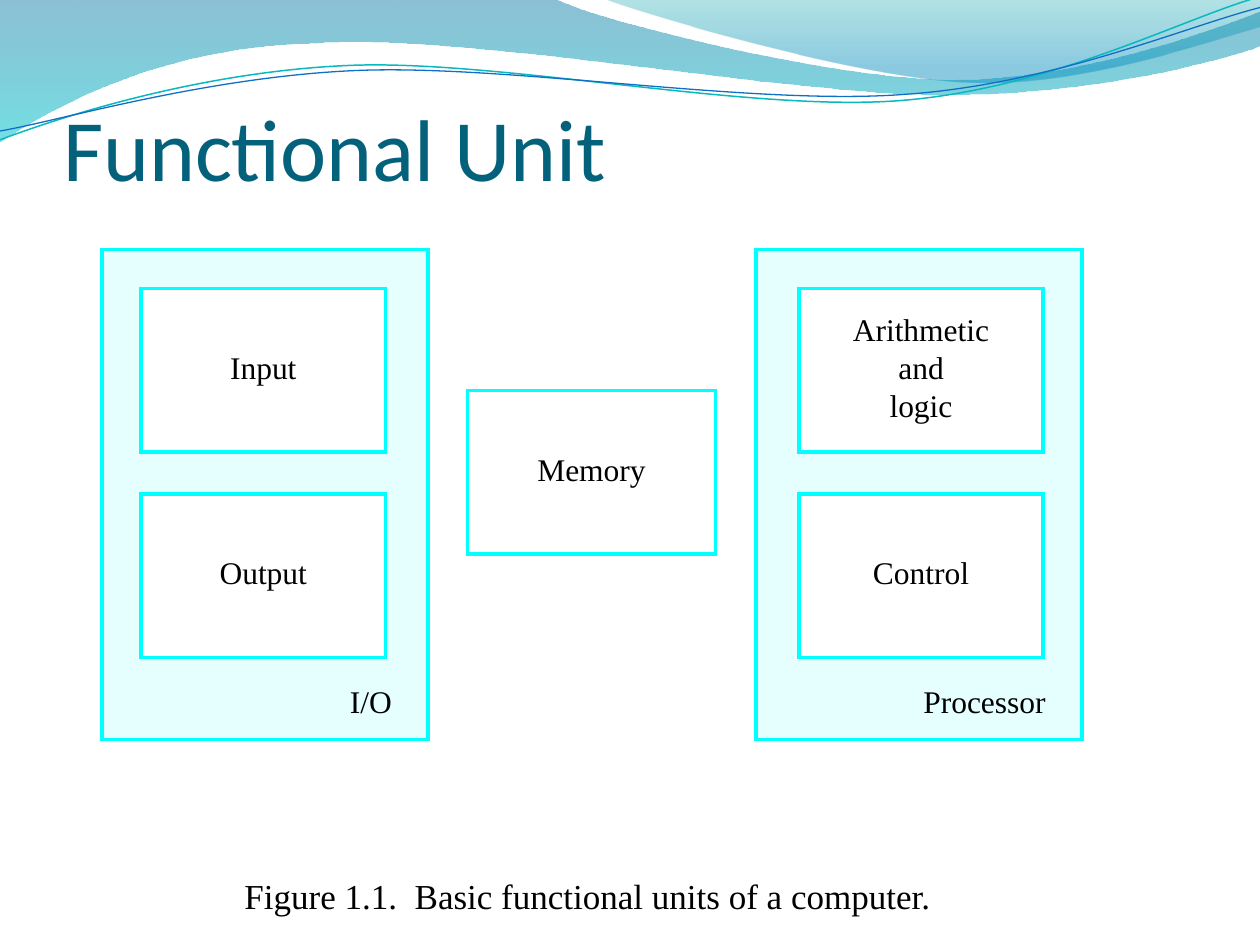
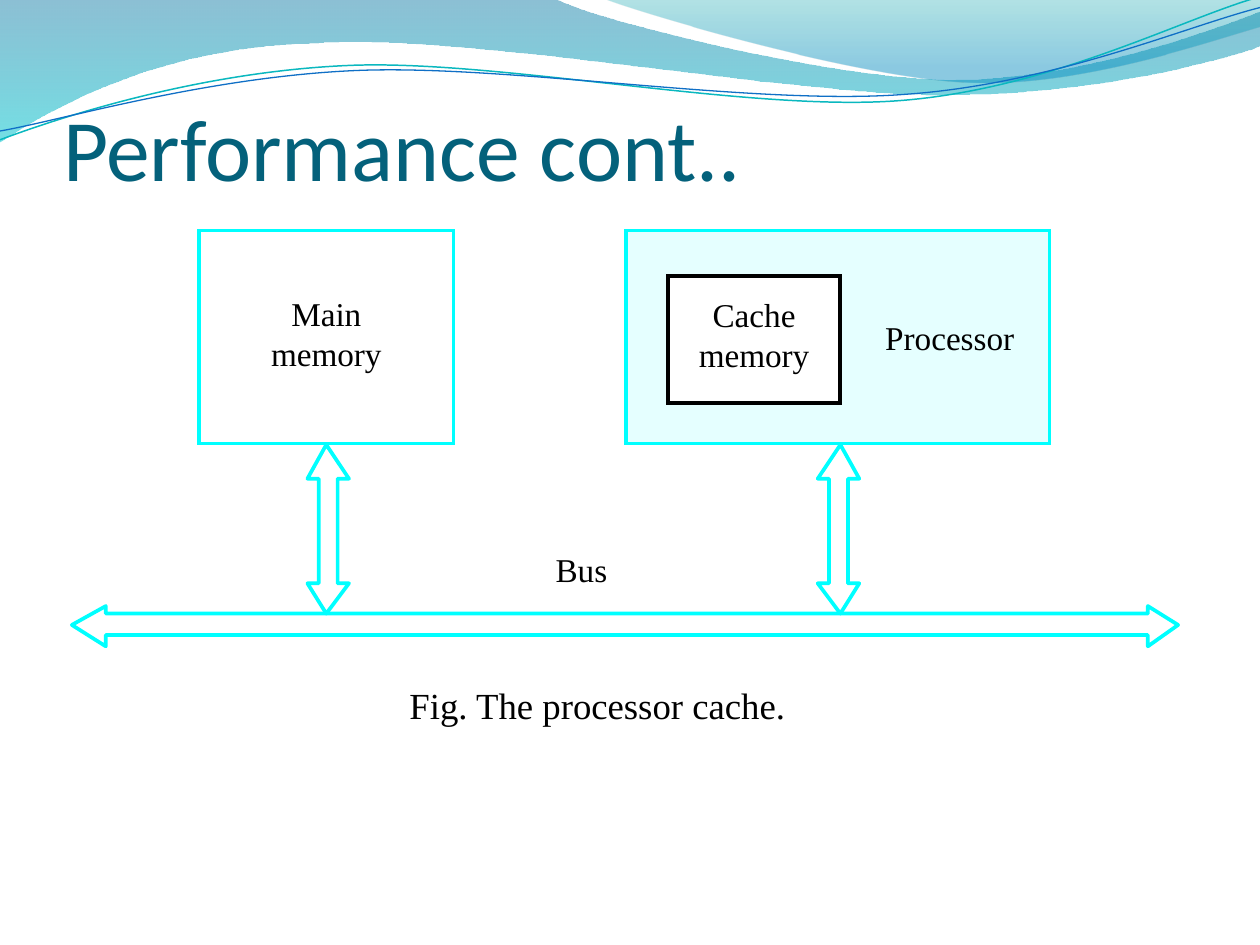
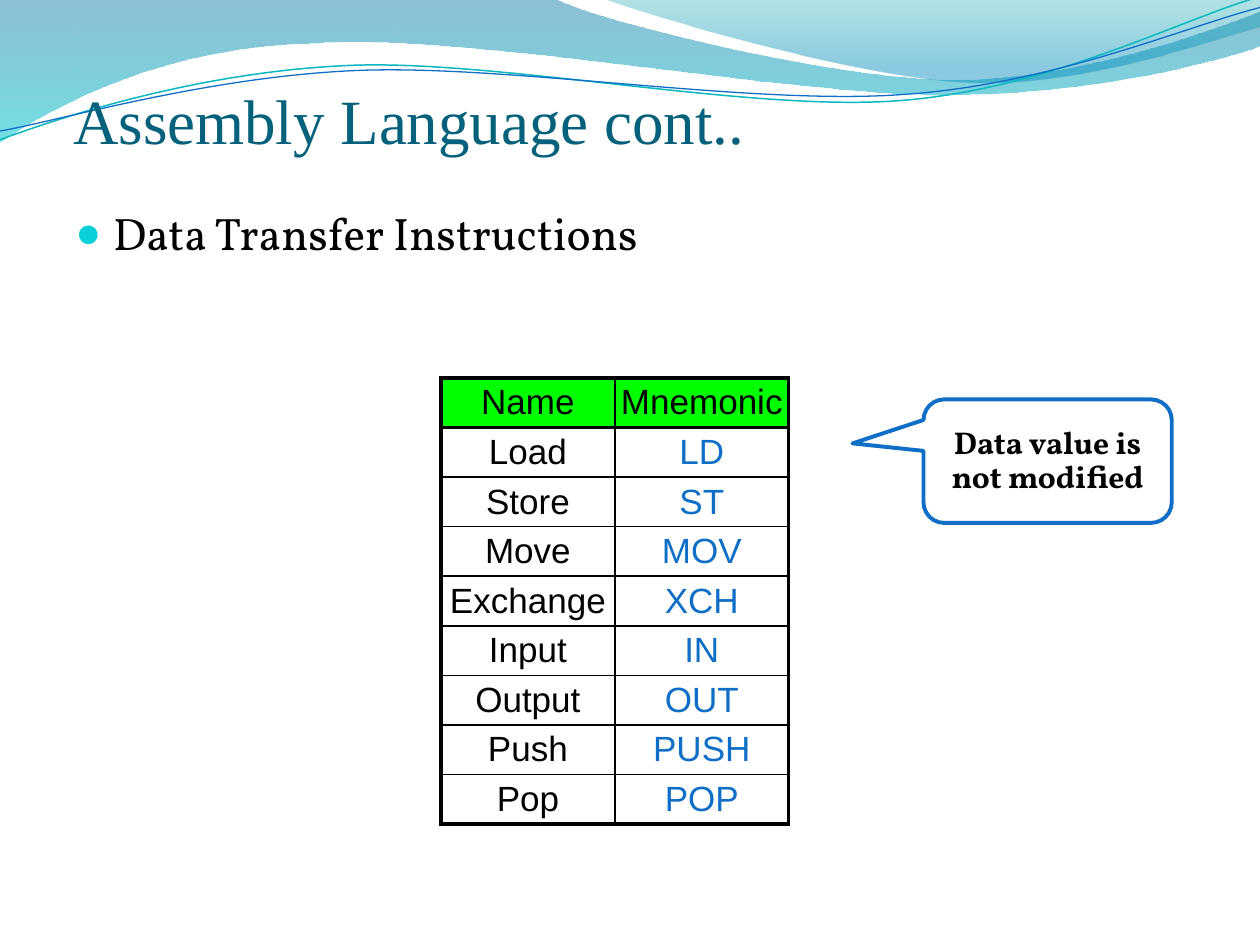
from lxml.etree import SubElement
from pptx import Presentation
from pptx.dml.color import RGBColor
from pptx.enum.shapes import MSO_SHAPE
from pptx.enum.text import MSO_ANCHOR, PP_ALIGN
from pptx.oxml.ns import qn
from pptx.util import Inches, Pt

BLACK = RGBColor(0x00, 0x00, 0x00)
WHITE = RGBColor(0xFF, 0xFF, 0xFF)
CYAN = RGBColor(0x00, 0xFF, 0xFF)
PALE = RGBColor(0xE5, 0xFF, 0xFF)
BLUE = RGBColor(0x0F, 0x6F, 0xC6)
TEAL = RGBColor(0x0A, 0xB8, 0xBF)
AQUA = RGBColor(0x0B, 0xD0, 0xD9)
NAVY = RGBColor(0x04, 0x61, 0x7B)
GREEN = RGBColor(0x00, 0xFF, 0x00)
SERIF, SANS, HEAD, BODY = "Times New Roman", "Arial", "Calibri", "Vollkorn"
THIN, THICK = 1, 2.25

BANDS = [
    ([(0, 0), (4.4, -0.01), (4.76, 0.17, 6.64, 0.63, 7.58, 0.63),
      (8.53, 0.63, 9.58, 0.26, 10, 0.09), (10.01, 0.36),
      (9.83, 0.44, 8.7, 0.76, 7.46, 0.75), (6.22, 0.75, 3.82, 0.28, 2.57, 0.34),
      (1.29, 0.36, 0.46, 0.83, -0.01, 1.13)],
     [(0, RGBColor(0x00, 0x74, 0xA1), 45), (1, RGBColor(0x00, 0xC6, 0xCF), 55)]),
    ([(4.79, -0.01), (5.09, 0.11, 6.82, 0.62, 7.69, 0.65),
      (8.56, 0.69, 9.61, 0.32, 10, 0.21), (10, 0)],
     [(0, RGBColor(0x00, 0xA1, 0xA9), 30), (0.8, RGBColor(0x00, 0x8B, 0xBF), 45)]),
]
CURVES = [
    ([(0, 1.11), (0.48, 0.93, 1.58, 0.57, 2.77, 0.52),
      (3.95, 0.47, 5.93, 0.89, 7.13, 0.8), (8.33, 0.71, 9.38, 0.15, 9.98, -0.02)],
     TEAL, 0.85),
    ([(0, 1.04), (0.47, 0.96, 1.64, 0.61, 2.83, 0.56),
      (4.03, 0.51, 5.97, 0.84, 7.17, 0.75), (8.36, 0.67, 9.41, 0.21, 10, 0.06)],
     BLUE, 0.75),
]
CODES = [("Name", "Mnemonic"), ("Load", "LD"), ("Store", "ST"), ("Move", "MOV"),
         ("Exchange", "XCH"), ("Input", "IN"), ("Output", "OUT"),
         ("Push", "PUSH"), ("Pop", "POP")]


def span(box):
    """Turn a box in inches into lengths."""
    return [Inches(side) for side in box]


def outline(slide, parts, close=True):
    """Draw one freeform from lines and Bezier curves."""
    ends = [span(part[-2:]) for part in parts]
    pen = slide.shapes.build_freeform(*ends[0])
    pen.add_line_segments(ends[1:], close=close)
    shape = pen.convert_to_shape()
    shape.shadow.inherit = False
    trail = next(shape.element.iter(qn("a:path")))
    for node, part in zip(list(trail), parts):
        if len(part) == 6:
            node.clear()
            node.tag = qn("a:cubicBezTo")
            for x, y in zip(span(part[::2]), span(part[1::2])):
                SubElement(node, qn("a:pt"), x=str(x - shape.left), y=str(y - shape.top))
    return shape


def waves(slide, layout):
    """Draw the wave header and hand it to the layout."""
    for spot in list(layout.placeholders)[1:]:
        layout.shapes.element.remove(spot.element)
    drawn = []
    for parts, stops in BANDS:
        band = outline(slide, parts)
        band.line.fill.background()
        band.fill.gradient()
        band.fill.gradient_angle = 270
        for stop, (place, color, alpha) in zip(band.fill.gradient_stops, stops):
            stop.position = place
            stop.color.rgb = color
        tints = band.element.spPr.iter(qn("a:srgbClr"))
        for tint, (place, color, alpha) in zip(tints, stops):
            SubElement(tint, qn("a:alpha"), val=str(alpha * 1000))
        drawn.append(band)
    for parts, color, weight in CURVES:
        curve = outline(slide, parts, False)
        paint(curve, None, color, weight)
        drawn.append(curve)
    for shape in drawn:
        layout.shapes.element.append(shape.element)


def paint(shape, fill, line, weight):
    """Set the fill and line of a shape."""
    shape.shadow.inherit = False
    if fill is None:
        shape.fill.background()
    else:
        shape.fill.solid()
        shape.fill.fore_color.rgb = fill
    shape.line.color.rgb = line
    shape.line.width = Pt(weight)


def pad(frame, left=0, top=0, right=0, bottom=0):
    """Set the four insets of a frame or cell."""
    frame.margin_left, frame.margin_top = Inches(left), Inches(top)
    frame.margin_right, frame.margin_bottom = Inches(right), Inches(bottom)


def style(frame, size, face, color=BLACK, align=PP_ALIGN.LEFT, bold=False):
    """Format every run of a frame."""
    for para in frame.paragraphs:
        para.alignment = align
        for run in para.runs:
            run.font.size, run.font.name = Pt(size), face
            run.font.color.rgb, run.font.bold = color, bold


def head(slide, text, left=0.5, top=0.33, size=50, face=HEAD):
    """Place and format the title."""
    title = slide.shapes.title
    title.left, title.top, title.width, title.height = span((left, top, 9, 1.25))
    frame = title.text_frame
    frame.text = text
    frame.vertical_anchor = MSO_ANCHOR.BOTTOM
    pad(frame, top=0.05)
    style(frame, size, face, NAVY)


def block(slide, box, text, size=18, fill=WHITE, line=CYAN, align=PP_ALIGN.CENTER,
          anchor=MSO_ANCHOR.MIDDLE, right=0, bottom=0.06):
    """Draw a labelled rectangle with sharp corners."""
    shape = slide.shapes.add_shape(MSO_SHAPE.RECTANGLE, *span(box))
    paint(shape, fill, line, 2.13)
    SubElement(shape.element.spPr.find(qn("a:ln")), qn("a:miter"), lim="800000")
    frame = shape.text_frame
    frame.text = text
    frame.vertical_anchor = anchor
    pad(frame, right=right, bottom=bottom)
    style(frame, size, SERIF, align=align)


def label(slide, box, text, size):
    """Write one line of free text."""
    frame = slide.shapes.add_textbox(*span(box)).text_frame
    frame.text = text
    frame.word_wrap = False
    pad(frame)
    style(frame, size, SERIF)


def panel(slide, left, top, gap, name, units):
    """Draw a pale panel with its units stacked inside."""
    block(slide, (left, top, 2.59, 3.89), name, fill=PALE, align=PP_ALIGN.RIGHT,
          anchor=MSO_ANCHOR.BOTTOM, right=0.29, bottom=0.16)
    for row, unit in enumerate(units):
        block(slide, (left + gap, top + 0.31 + row * 1.63, 1.94, 1.3), unit)


def arrow(slide, left, top, dots):
    """Draw a hollow double arrow."""
    shape = outline(slide, [(left + x, top + y) for x, y in dots])
    paint(shape, None, CYAN, 2.13)


def link(slide, left, top, tip):
    """Draw an upright arrow whose points stand at the tip."""
    arrow(slide, left, top, [
        (0.33, 0.27), (0.24, 0.27), (0.24, 1.1), (0.33, 1.1), (tip, 1.34),
        (0, 1.1), (0.09, 1.1), (0.09, 0.27), (0, 0.27), (tip, 0)])


def bus(slide, left, top):
    """Draw the long level arrow of the bus."""
    arrow(slide, left, top, [
        (8.54, 0.06), (8.54, 0), (8.78, 0.15), (8.54, 0.32), (8.54, 0.23),
        (0.27, 0.23), (0.27, 0.32), (0, 0.15), (0.27, 0), (0.27, 0.06)])


def units(slide):
    """Build the slide of functional units."""
    head(slide, "Functional Unit")
    panel(slide, 0.81, 1.98, 0.31, "I/O", ["Input", "Output"])
    panel(slide, 6, 1.98, 0.34, "Processor", ["Arithmetic\nand\nlogic", "Control"])
    block(slide, (3.71, 3.1, 1.97, 1.3), "Memory")
    label(slide, (1.94, 6.94, 5.94, 0.33),
          "Figure 1.1.  Basic functional units of a computer.", 20)


def cache(slide):
    """Build the slide of the processor cache."""
    head(slide, "Performance cont..")
    block(slide, (1.58, 1.83, 2.02, 1.69), "Main\nmemory", 19)
    block(slide, (4.97, 1.83, 3.36, 1.69), "Processor", 19, PALE,
          align=PP_ALIGN.RIGHT, right=0.28, bottom=0)
    block(slide, (5.3, 2.19, 1.37, 1.01), "Cache\nmemory", 19, line=BLACK, bottom=0.09)
    link(slide, 2.44, 3.53, 0.15)
    link(slide, 6.49, 3.53, 0.18)
    bus(slide, 0.57, 4.81)
    label(slide, (4.41, 4.36, 0.45, 0.32), "Bus", 19)
    label(slide, (3.25, 5.42, 3.4, 0.35), "Fig. The processor cache.", 21)


def bullet(slide, box, text):
    """Write a bulleted line."""
    frame = slide.shapes.add_textbox(*span(box)).text_frame
    frame.word_wrap = True
    frame.text = text
    props = frame.paragraphs[0]._p.get_or_add_pPr()
    props.set("marL", str(Inches(0.3)))
    props.set("indent", str(Inches(-0.3)))
    tint = SubElement(props, qn("a:buClr"))
    SubElement(tint, qn("a:srgbClr"), val=str(AQUA))
    SubElement(props, qn("a:buSzPct"), val="95000")
    SubElement(props, qn("a:buFont"), typeface=SANS)
    SubElement(props, qn("a:buChar"), char="●")
    style(frame, 26, BODY)


def rule(cell, edge, weight):
    """Add one black border to a cell."""
    line = SubElement(cell._tc.get_or_add_tcPr(), qn("a:ln" + edge), w=str(Pt(weight)))
    fill = SubElement(line, qn("a:solidFill"))
    SubElement(fill, qn("a:srgbClr"), val=str(BLACK))


def grid(slide, box, rows):
    """Build the table of names and mnemonics."""
    last = len(rows) - 1
    table = slide.shapes.add_table(len(rows), 2, *span(box)).table
    table.first_row = table.horz_banding = False
    for r, words in enumerate(rows):
        for c, word in enumerate(words):
            cell = table.cell(r, c)
            cell.text = word
            cell.vertical_anchor = MSO_ANCHOR.MIDDLE
            pad(cell)
            color = BLUE if r and c else BLACK
            style(cell.text_frame, 20, SANS, color, PP_ALIGN.CENTER)
            for edge, bold in (("L", c == 0), ("R", c == 1),
                               ("T", r < 2), ("B", r in (0, last))):
                rule(cell, edge, THICK if bold else THIN)
            if r:
                cell.fill.background()
            else:
                cell.fill.solid()
                cell.fill.fore_color.rgb = GREEN


def callout(slide, box, text):
    """Draw the rounded callout."""
    shape = slide.shapes.add_shape(MSO_SHAPE.ROUNDED_RECTANGULAR_CALLOUT, *span(box))
    for spot, value in enumerate((-0.786, -0.144, 0.167)):
        shape.adjustments[spot] = value
    paint(shape, None, BLUE, THICK)
    frame = shape.text_frame
    frame.text = text
    frame.word_wrap = True
    frame.vertical_anchor = MSO_ANCHOR.MIDDLE
    pad(frame)
    frame.paragraphs[0].line_spacing = 0.9
    style(frame, 18, BODY, align=PP_ALIGN.CENTER, bold=True)


def codes(slide):
    """Build the slide of transfer instructions."""
    head(slide, "Assembly Language cont..", 0.58, 0, 36, SERIF)
    bullet(slide, (0.5, 1.58, 9.06, 5.52), "Data Transfer Instructions")
    grid(slide, (3.5, 3, 2.76, 3.54), CODES)
    callout(slide, (7.33, 3.17, 1.97, 0.98), "Data value is not modified")


def main():
    """Build and save the deck."""
    deck = Presentation()
    deck.slide_width, deck.slide_height = Inches(10), Inches(7.5)
    layout = deck.slide_layouts[5]
    builds = (units, cache, codes)
    slides = [deck.slides.add_slide(layout) for build in builds]
    waves(slides[0], layout)
    for build, slide in zip(builds, slides):
        build(slide)
    deck.save("out.pptx")


if __name__ == "__main__":
    main()
